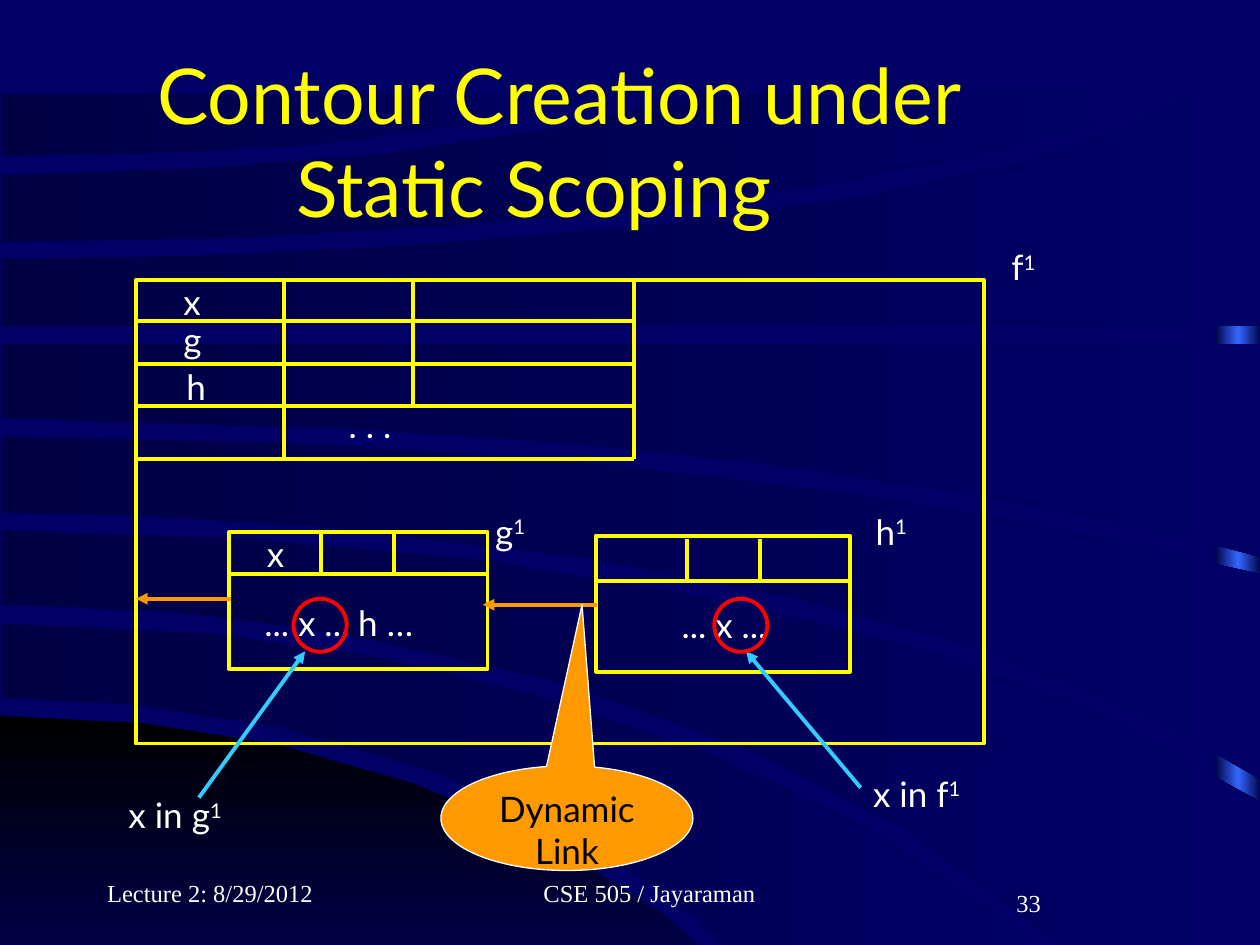
from lxml.etree import SubElement
from pptx import Presentation
from pptx.dml.color import RGBColor
from pptx.enum.shapes import MSO_CONNECTOR as Link, MSO_SHAPE as Kind
from pptx.enum.text import MSO_ANCHOR as Anchor, MSO_AUTO_SIZE as Fit, PP_ALIGN as Align
from pptx.oxml.ns import qn
from pptx.util import Cm, Pt

NAVY, DARK, YELLOW, ORANGE = "000066", "000044", "FFFF00", "FF9900"
WHITE, BLACK, RED, CYAN, BLUE = "FFFFFF", "000000", "FF0000", "33CCFF", "3366FF"

DISC = [(0, 21), (0, 14.43), (2.87, 14.58), (5.56, 15.01), (8.33, 15.8),
        (10.82, 16.84), (13.44, 18.49), (15.16, 20.07), (15.98, 21)]
BANDS = [
    [(0.03, 12.57), (4.24, 12.78), (7.49, 13.23), (10.9, 14.05), (14.27, 15.16),
     (17.5, 16.71), (20.4, 18.67), (22.71, 20.96), (16.33, 20.96), (14.07, 18.52),
     (11.56, 16.79), (8.71, 15.54), (5.64, 14.66), (2.69, 14.2), (0.03, 14.07)],
    [(0.03, 10.69), (4.98, 10.87), (9.78, 11.3), (14.5, 12.09), (18.77, 13.13),
     (22.2, 14.4), (25.43, 16.18), (25.43, 20.96), (23.11, 20.96), (21.31, 18.97),
     (18.31, 16.76), (15.19, 15.14), (11.25, 13.74), (6.81, 12.75), (3.58, 12.34),
     (0.03, 12.19)],
    [(0.03, 8.79), (6.76, 8.97), (12.19, 9.37), (16.84, 9.91), (20.75, 10.54),
     (25.43, 11.58), (25.43, 15.72), (23.22, 14.45), (19.89, 13.13), (16.31, 12.12),
     (11.79, 11.23), (6.5, 10.62), (2.79, 10.39), (0.03, 10.34)],
    [(0.03, 6.93), (25.43, 6.93), (25.43, 11.23), (23.27, 10.67), (19.28, 9.91),
     (15.44, 9.35), (11.58, 8.94), (7.09, 8.64), (0.03, 8.43)],
    [(0.03, 5.23), (0.03, 6.58), (25.43, 6.58), (25.43, 1.9), (23.98, 1.9),
     (22.68, 2.62), (20.42, 3.33), (17.4, 3.96), (12.93, 4.57), (8.38, 4.95),
     (4.01, 5.16)],
    [(0.03, 3.53), (0.03, 4.88), (4.52, 4.8), (8.69, 4.57), (12.83, 4.24),
     (16.48, 3.76), (19.63, 3.12), (21.72, 2.57), (23.32, 1.9), (14.15, 1.9),
     (11.33, 2.57), (7.85, 3.1), (4.09, 3.4)],
    [(0.03, 1.9), (0.03, 3.15), (3.51, 3.07), (6.45, 2.9), (10.19, 2.41), (12.75, 1.9)],
]


def rgb(code):
    return RGBColor.from_string(code)


def shade(shape, colours, angle=0):
    """Fill with evenly spaced gradient stops, the angle running clockwise."""
    shape.shadow.inherit = False
    shape.line.fill.background()
    shape.fill.gradient()
    shape.fill.gradient_angle = -angle % 360
    stops = shape.fill._fill._gradFill.find(qn("a:gsLst"))
    for old in list(stops):
        stops.remove(old)
    for i, code in enumerate(colours):
        stop = SubElement(stops, qn("a:gs"), pos=str(100000 * i // (len(colours) - 1)))
        SubElement(stop, qn("a:srgbClr"), val=code)


def write(frame, text, size=20, font="Lato", colour=WHITE, align=Align.LEFT,
          anchor=Anchor.TOP, fit=Fit.NONE, indents=(), sup=""):
    """Write one paragraph per line, with sup raised at the end of the last."""
    frame.word_wrap, frame.auto_size, frame.vertical_anchor = True, fit, anchor
    lines = text.split("\n")
    for i, line in enumerate(lines):
        para = frame.paragraphs[0] if i == 0 else frame.add_paragraph()
        para.alignment = align
        if i < len(indents):
            para._p.get_or_add_pPr().set("marL", str(Cm(indents[i])))
        para.add_run().text = line
        if sup and i == len(lines) - 1:
            run = para.add_run()
            run.text = sup
            run.font._element.set("baseline", "30000")
        for run in para.runs:
            run.font.name, run.font.size = font, Pt(size)
            run.font.color.rgb = rgb(colour)


class Board:
    def __init__(self, slide, width=2.25):
        self.slide, self.shapes, self.width = slide, slide.shapes, Pt(width)

    def shape(self, kind, x, y, w, h, line=YELLOW, fill=None, width=None):
        item = self.shapes.add_shape(kind, Cm(x), Cm(y), Cm(w), Cm(h))
        item.shadow.inherit = False
        if fill:
            item.fill.solid()
            item.fill.fore_color.rgb = rgb(fill)
        else:
            item.fill.background()
        item.line.color.rgb = rgb(line)
        item.line.width = width or self.width
        return item

    def line(self, x1, y1, x2, y2, colour=YELLOW, arrow=False):
        item = self.shapes.add_connector(Link.STRAIGHT, Cm(x1), Cm(y1), Cm(x2), Cm(y2))
        item.line.color.rgb = rgb(colour)
        item.line.width = self.width
        if arrow:
            SubElement(item.line._get_or_add_ln(), qn("a:tailEnd"), type="triangle")
        SubElement(item._element.spPr, qn("a:effectLst"))

    def text(self, x, y, w, h, text, **style):
        box = self.shapes.add_textbox(Cm(x), Cm(y), Cm(w), Cm(h))
        write(box.text_frame, text, **style)

    def label(self, x, y, w, text, sup=""):
        self.text(x, y, w, 1.12, text, sup=sup, fit=Fit.SHAPE_TO_FIT_TEXT)

    def band(self, points, colours, angle=0):
        start, *rest = [(Cm(x), Cm(y)) for x, y in points]
        pen = self.shapes.build_freeform(*start)
        pen.add_line_segments(rest)
        shade(pen.convert_to_shape(), colours, angle)

    def contour(self, x, y, w, h, bar, top, cols):
        """Draw a box whose header row ends at bar and is split at cols."""
        self.shape(Kind.RECTANGLE, x, y, w, h)
        self.line(x, bar, x + w, bar)
        for col in cols:
            self.line(col, top, col, bar)

    def foot(self, x, y, w, text, **style):
        self.text(x, y, w, 1.27, text, size=14, font="Times New Roman",
                  anchor=Anchor.BOTTOM, **style)


def main():
    deck = Presentation()
    deck.slide_width, deck.slide_height = Cm(25.4), Cm(19.05)
    board = Board(deck.slides.add_slide(deck.slide_layouts[6]))
    back = board.slide.background.fill
    back.solid()
    back.fore_color.rgb = rgb(NAVY)

    rail = board.shape(Kind.RECTANGLE, 24.49, 1.96, 0.94, 19.05)
    shade(rail, [DARK, BLUE, DARK])
    board.band(DISC, [BLACK, NAVY], 90)
    for points in BANDS:
        board.band(points, [DARK, NAVY])

    board.text(2.92, 0.84, 17.93, 3.99, "Contour Creation under\nStatic Scoping",
               size=44, colour=YELLOW, indents=(0, 2.8), fit=Fit.SHAPE_TO_FIT_TEXT)

    # Outer contour f with its table of names
    left, top, right, end = 2.74, 5.64, 12.78, 9.25
    board.shape(Kind.RECTANGLE, left, top, 17.09, 9.35)
    for y in (6.48, 7.34, 8.18, end):
        board.line(left, y, right, y)
    for x, low in ((5.72, end), (8.33, 8.18), (right, end)):
        board.line(x, top, x, low)

    # Inner contours g and h
    board.contour(4.62, 10.72, 5.21, 2.77, 11.58, 10.72, (6.48, 7.95))
    board.contour(12.01, 10.8, 5.13, 2.74, 11.71, 10.87, (13.84, 15.32))

    for x, y, w, *words in (
        (3.45, 5.54, 1.88, "x"), (3.45, 6.3, 1.88, "g"), (3.51, 7.24, 1.85, "h"),
        (6.78, 8, 1.9, ". . ."), (5.13, 10.62, 1.85, "x"),
        (5.08, 12.01, 4.45, "... x ... h …"), (13.49, 12.04, 2.79, "... x ..."),
        (20.14, 4.83, 3.35, "f", "1"), (9.73, 10.16, 2.08, "g", "1"),
        (17.4, 10.16, 1.85, "h", "1"), (2.34, 15.88, 3.23, "x in g", "1"),
        (17.35, 15.44, 3, "x in f", "1"),
    ):
        board.label(x, y, w, *words)

    for ends in ((4.01, 16.08, 6.15, 13.13), (17.35, 15.88, 15.04, 13.13)):
        board.line(*ends, colour=CYAN, arrow=True)
    for x1, x2, y in ((4.65, left, 12.07), (12.04, 9.73, 12.19)):
        board.line(x1, y, x2, y, colour=ORANGE, arrow=True)
    for x in (5.92, 14.4):
        board.shape(Kind.OVAL, x, 12.07, 1.07, 1.07, line=RED)

    call = board.shape(Kind.OVAL_CALLOUT, 8.89, 15.44, 5.08, 2.11,
                       line=WHITE, fill=ORANGE, width=Pt(0.75))
    call.adjustments[0], call.adjustments[1] = 0.06, -2.04
    write(call.text_frame, "Dynamic\nLink", colour=BLACK, align=Align.CENTER)

    board.foot(1.91, 17.15, 5.28, "Lecture 2: 8/29/2012")
    board.foot(7.82, 17.15, 8.05, "CSE 505 / Jayaraman", align=Align.CENTER, indents=(2.5,))
    board.foot(16.71, 17.35, 8.05, "33", align=Align.CENTER)
    deck.save("out.pptx")


if __name__ == "__main__":
    main()
